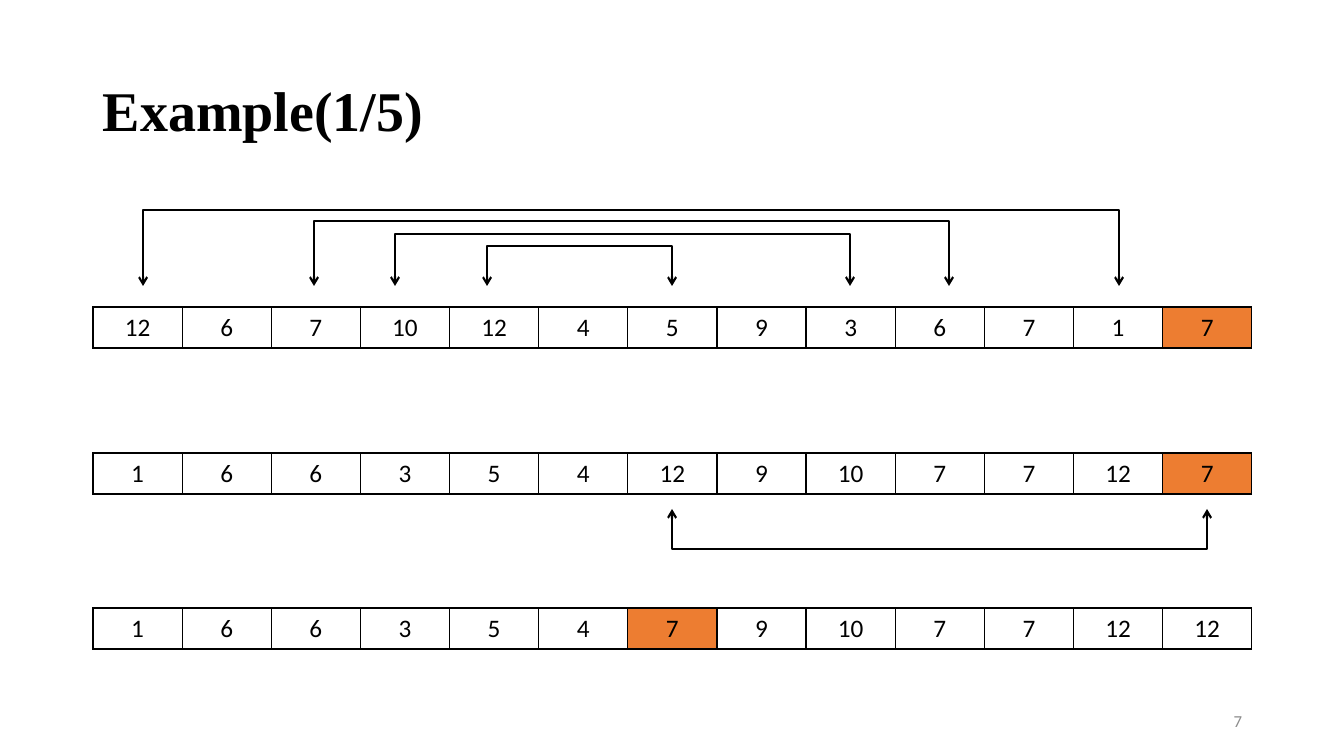
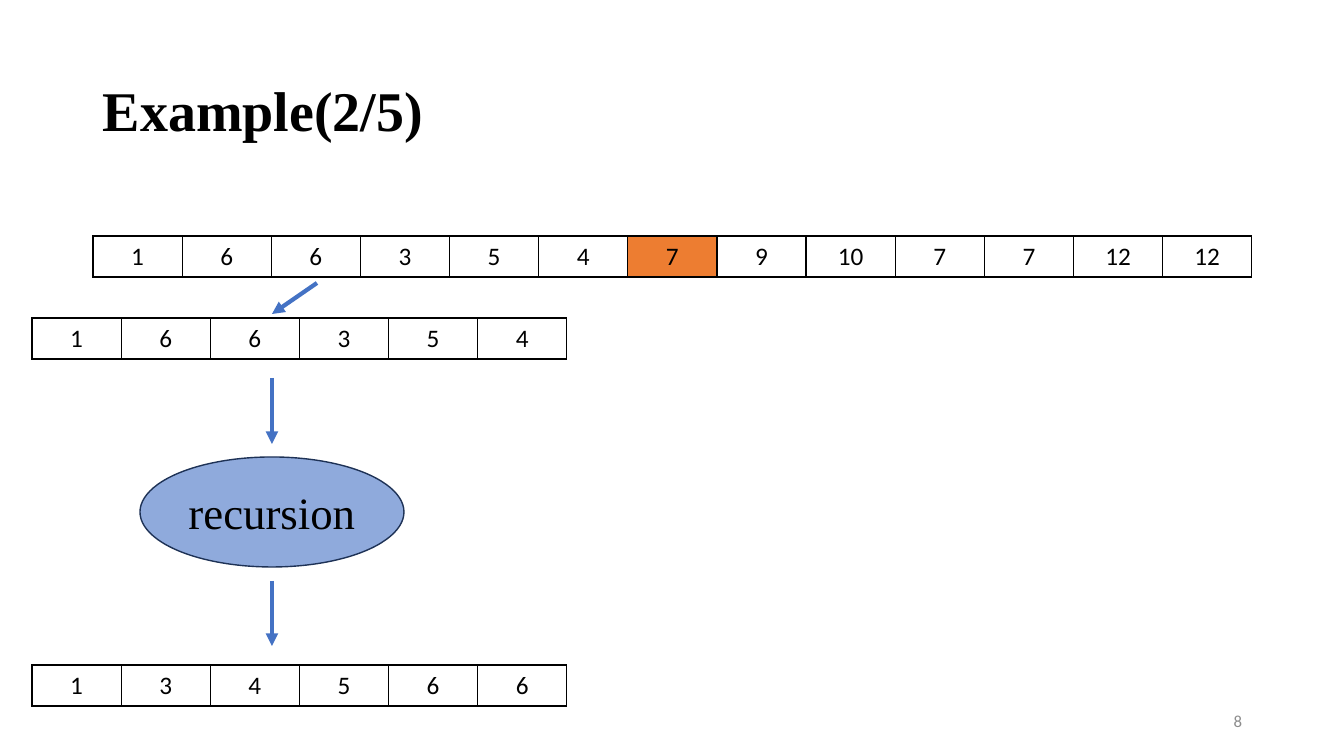
from lxml import etree
from pptx import Presentation
from pptx.dml.color import RGBColor
from pptx.enum.shapes import MSO_CONNECTOR, MSO_SHAPE
from pptx.enum.text import MSO_ANCHOR, PP_ALIGN
from pptx.oxml import parse_xml
from pptx.oxml.ns import nsdecls, qn
from pptx.util import Pt

LEFT, CENTER, RIGHT = PP_ALIGN.LEFT, PP_ALIGN.CENTER, PP_ALIGN.RIGHT
MIDDLE = MSO_ANCHOR.MIDDLE
BRACKET, ELLIPSE = MSO_SHAPE.LEFT_BRACKET, MSO_SHAPE.OVAL
STRAIGHT = MSO_CONNECTOR.STRAIGHT

PX = 9071
SERIF, SANS = "Times New Roman", "Calibri"
COLORS = {
    "ink": "000000",
    "page_number": "8C8C8C",
    "pivot": "ED7D31",
    "arrow": "4472C4",
    "recursion": "8FAADC",
    "recursion_edge": "1E3256",
}
ARRAY_LEFT, ARRAY_WIDTH, CELL_HEIGHT = 93, 1159, 41
CELL_WIDTH = ARRAY_WIDTH * PX // 13


def write(frame, text, size=18, font=SANS, color="ink", bold=False, align=CENTER,
          spacing=1.0, wrap=True):
    frame.word_wrap = wrap
    frame.vertical_anchor = MIDDLE
    paragraph = frame.paragraphs[0]
    paragraph.alignment = align
    paragraph.line_spacing = spacing
    run = paragraph.add_run()
    run.text = text
    run.font.size = Pt(size)
    run.font.name = font
    run.font.bold = bold
    run.font.color.rgb = RGBColor.from_string(COLORS[color])


def add_array(slide, left, top, values, pivot=None):
    count = len(values)
    frame = slide.shapes.add_table(
        1, count, left * PX, top * PX, CELL_WIDTH * count, CELL_HEIGHT * PX)
    table = frame.table
    table.first_row = False
    table.horz_banding = False
    table.rows[0].height = CELL_HEIGHT * PX
    for index, value in enumerate(values):
        table.columns[index].width = CELL_WIDTH
        cell = table.cell(0, index)
        write(cell.text_frame, str(value))
        if index == pivot:
            cell.fill.solid()
            cell.fill.fore_color.rgb = RGBColor.from_string(COLORS["pivot"])
        else:
            cell.fill.background()
        properties = cell._tc.get_or_add_tcPr()
        for order, side in enumerate(("lnL", "lnR", "lnT", "lnB")):
            properties.insert(order, parse_xml(
                f'<a:{side} {nsdecls("a")} w="{Pt(1)}"><a:solidFill>'
                f'<a:srgbClr val="{COLORS["ink"]}"/></a:solidFill></a:{side}>'))


deck = Presentation()
deck.slide_width = 1344 * PX
deck.slide_height = 756 * PX

slides = []
for title, number in (("Example(1/5)", "7"), ("Example(2/5)", "8")):
    slide = deck.slides.add_slide(deck.slide_layouts[6])
    heading = slide.shapes.add_textbox(ARRAY_LEFT * PX, 40 * PX, ARRAY_WIDTH * PX, 146 * PX)
    write(heading.text_frame, title, size=40, font=SERIF, bold=True, align=LEFT, spacing=0.9)
    page_number = slide.shapes.add_textbox(950 * PX, 701 * PX, 302 * PX, 40 * PX)
    write(page_number.text_frame, number, size=12, color="page_number", align=RIGHT)
    slides.append(slide)
partition_slide, recursion_slide = slides

unsorted = [12, 6, 7, 10, 12, 4, 5, 9, 3, 6, 7, 1, 7]
swapped = [1, 6, 6, 3, 5, 4, 12, 9, 10, 7, 7, 12, 7]
partitioned = [1, 6, 6, 3, 5, 4, 7, 9, 10, 7, 7, 12, 12]

add_array(partition_slide, ARRAY_LEFT, 307, unsorted, pivot=12)
add_array(partition_slide, ARRAY_LEFT, 453, swapped, pivot=12)
add_array(partition_slide, ARRAY_LEFT, 608, partitioned, pivot=6)

swaps = [
    (143, 1119, 210, 286, 90),
    (314, 949, 221, 286, 90),
    (395, 850, 234, 286, 90),
    (487, 672, 246, 286, 90),
    (672, 1207, 509, 549, 270),
]
for left, right, top, bottom, rotation in swaps:
    span, depth = (right - left) * PX, (bottom - top) * PX
    swap = partition_slide.shapes.add_shape(
        BRACKET,
        ((left + right) * PX - depth) // 2,
        ((top + bottom) * PX - span) // 2,
        depth, span)
    swap.rotation = rotation
    swap.adjustments[0] = 0
    swap.shadow.inherit = False
    swap.fill.background()
    swap.line.color.rgb = RGBColor.from_string(COLORS["ink"])
    swap.line.width = Pt(1.5)
    outline = swap.line._get_or_add_ln()
    for end in ("a:headEnd", "a:tailEnd"):
        etree.SubElement(outline, qn(end), type="arrow")

add_array(recursion_slide, ARRAY_LEFT, 236, partitioned, pivot=6)
add_array(recursion_slide, 32, 318, partitioned[:6])
add_array(recursion_slide, 32, 665, sorted(partitioned[:6]))

recursion = recursion_slide.shapes.add_shape(ELLIPSE, 140 * PX, 457 * PX, 264 * PX, 110 * PX)
recursion.shadow.inherit = False
recursion.fill.solid()
recursion.fill.fore_color.rgb = RGBColor.from_string(COLORS["recursion"])
recursion.line.color.rgb = RGBColor.from_string(COLORS["recursion_edge"])
recursion.line.width = Pt(1)
write(recursion.text_frame, "recursion", size=32, font=SERIF, wrap=False)

steps = [(317, 283, 272, 314), (272, 378, 272, 444), (272, 581, 272, 646)]
for step in steps:
    arrow = recursion_slide.shapes.add_connector(STRAIGHT, *[value * PX for value in step])
    arrow.line.color.rgb = RGBColor.from_string(COLORS["arrow"])
    arrow.line.width = Pt(3)
    etree.SubElement(arrow.line._get_or_add_ln(), qn("a:tailEnd"), type="triangle")
    etree.SubElement(arrow._element.spPr, qn("a:effectLst"))

deck.save("out.pptx")
